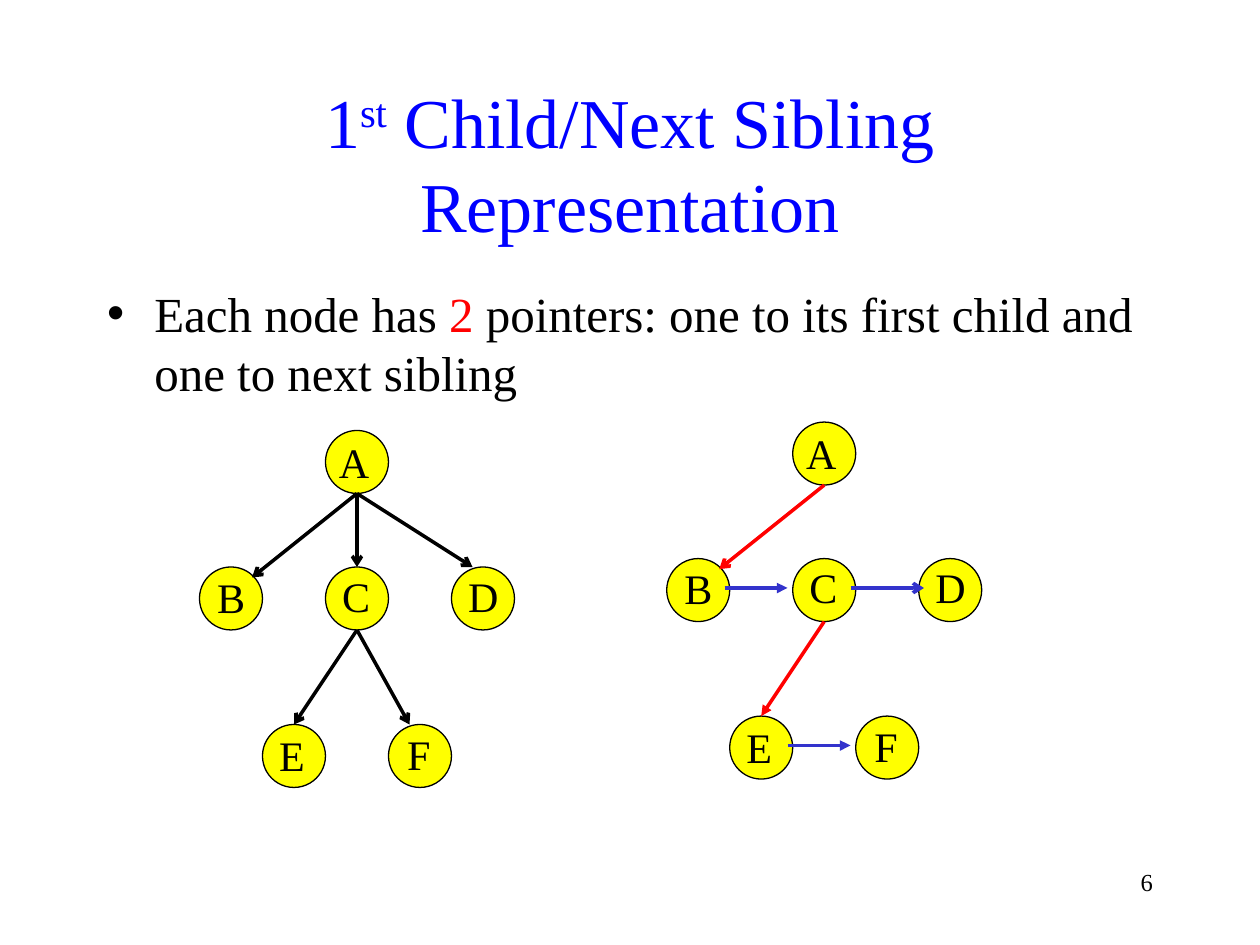
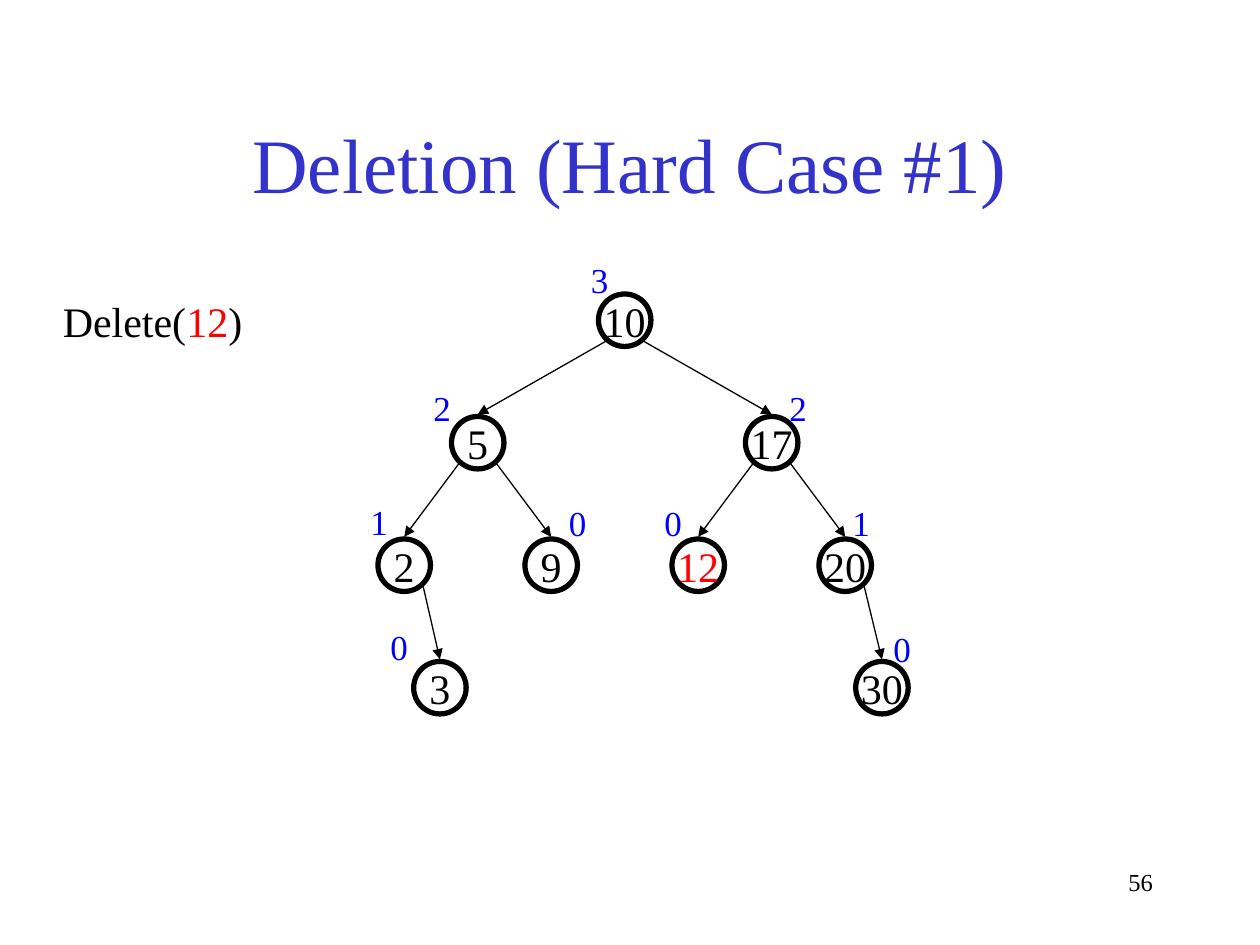
from lxml.etree import SubElement
from pptx import Presentation
from pptx.dml.color import RGBColor
from pptx.enum.shapes import MSO_CONNECTOR, MSO_SHAPE
from pptx.enum.text import MSO_ANCHOR, MSO_AUTO_SIZE, PP_ALIGN
from pptx.oxml.ns import qn
from pptx.util import Inches, Pt

COLORS = {
    "ink": "000000",
    "title": "0000FF",
    "accent": "3333CC",
    "highlight": "FF0000",
    "node": "FFFF00",
}
FONT = "Times New Roman"
COLUMNS = 120

deck = Presentation()
deck.slide_width, deck.slide_height = Inches(10), Inches(7.5)
CELL = deck.slide_width / COLUMNS


def grid(*cells):
    return [round(cell * CELL) for cell in cells]


def write(frame, runs, size, align=PP_ALIGN.LEFT, **frame_format):
    layout = {"word_wrap": True, "auto_size": MSO_AUTO_SIZE.NONE, **frame_format}
    for name, value in layout.items():
        setattr(frame, name, value)
    paragraph = frame.paragraphs[0]
    paragraph.alignment = align
    paragraph.space_before = Pt(0)
    for text, color in runs:
        run = paragraph.add_run()
        run.text = text
        for name, value in {"name": FONT, "size": Pt(size)}.items():
            setattr(run.font, name, value)
        run.font.color.rgb = RGBColor.from_string(COLORS[color])
    return paragraph


sibling_slide = deck.slides.add_slide(deck.slide_layouts[1])
deletion_slide = deck.slides.add_slide(deck.slide_layouts[5])

headings = [
    (sibling_slide, "6", 40,
     [("1", "title"), ("st", "title"), (" Child/Next Sibling Representation", "title")]),
    (deletion_slide, "56", 44, [("Deletion (Hard Case #1)", "accent")]),
]
for slide, number, size, runs in headings:
    page_number = slide.shapes.add_textbox(*grid(86, 82, 25, 6))
    write(page_number.text_frame, [(number, "ink")], 14, PP_ALIGN.RIGHT)
    title = slide.shapes.title
    title.left, title.top, title.width, title.height = grid(9, 8, 102, 15)
    write(title.text_frame, runs, size, PP_ALIGN.CENTER, vertical_anchor=MSO_ANCHOR.MIDDLE)

ordinal = sibling_slide.shapes.title.text_frame.paragraphs[0].runs[1]
ordinal.font._element.set("baseline", "30000")

pointers = sibling_slide.placeholders[1]
pointers.left, pointers.top, pointers.width, pointers.height = grid(9, 26.4, 102, 54)
write(
    pointers.text_frame,
    [("Each node has ", "ink"), ("2", "highlight"),
     (" pointers: one to its first child and one to next sibling", "ink")],
    28,
)

arrows = []
labels = []

LETTER_SIZE = 6
letters = {
    "A": (12, 0, 0.1, -0.05),
    "B": (0, 13, 0.5, -0.2),
    "C": (12, 13, 0.4, -0.3),
    "D": (24, 13, 0.4, -0.3),
    "E": (6, 28, 0.4, -0.1),
    "F": (18, 28, 0.6, -0.2),
}
child_links = [
    (15, 6, 5, 14, "ink", "arrow"),
    (15, 6, 15, 13, "ink", "arrow"),
    (15, 19, 9, 28, "ink", "arrow"),
    (15, 19, 20, 28, "ink", "arrow"),
    (15, 6, 26, 13, "ink", "arrow"),
]
sibling_links = [
    (15, 6, 5, 14, "highlight", "arrow"),
    (5.5, 15.8, 11.5, 15.8, "accent", "triangle"),
    (15, 19, 9, 28, "highlight", "triangle"),
    (11.5, 30.8, 17.5, 30.8, "accent", "triangle"),
    (17.5, 15.8, 24.5, 15.8, "accent", "arrow"),
]
for left, top, links in [(63.5, 40.2, sibling_links), (19, 41, child_links)]:
    for letter, (column, row, shift_x, shift_y) in letters.items():
        x, y = left + column, top + row
        circle = sibling_slide.shapes.add_shape(
            MSO_SHAPE.OVAL, *grid(x, y, LETTER_SIZE, LETTER_SIZE))
        circle.shadow.inherit = False
        circle.fill.solid()
        circle.fill.fore_color.rgb = RGBColor.from_string(COLORS["node"])
        circle.line.color.rgb = RGBColor.from_string(COLORS["ink"])
        circle.line.width = Pt(0.75)
        labels.append((sibling_slide, (x + shift_x, y + shift_y, 5.3, 6),
                       [(letter, "ink")], 24, True))
    for x1, y1, x2, y2, color, head in links:
        arrows.append((sibling_slide, (left + x1, top + y1, left + x2, top + y2),
                       color, 2, head))

KEY_SIZE = 5
LEVEL_TOP, LEVEL_STEP = 28, 35 / 3
keys = {
    "10": (57, 0, "3", -1.9, -4),
    "5": (43, 1, "2", -2.9, -3.4),
    "17": (71, 1, "2", 3, -3.4),
    "2": (36, 2, "1", -1.9, -4.3),
    "9": (50, 2, "0", 3, -4.2),
    "12": (64, 2, "0", -1.9, -4.2),
    "20": (78, 2, "1", 2, -4.2),
    "3": (39.4, 3, "0", -3.4, -4),
    "30": (81.5, 3, "0", 2.4, -3.8),
}
for key, (column, level, height, shift_x, shift_y) in keys.items():
    row = LEVEL_TOP + level * LEVEL_STEP
    ring = deletion_slide.shapes.add_shape(
        MSO_SHAPE.OVAL, *grid(column, row, KEY_SIZE, KEY_SIZE))
    ring.shadow.inherit = False
    ring.fill.background()
    ring.line.color.rgb = RGBColor.from_string(COLORS["ink"])
    ring.line.width = Pt(3)
    write(ring.text_frame, [(key, "highlight" if key == "12" else "ink")], 24,
          PP_ALIGN.CENTER, word_wrap=False, vertical_anchor=MSO_ANCHOR.MIDDLE)
    labels.append((deletion_slide, (column + shift_x, row + shift_y, 4.1, 5.3),
                   [(height, "title")], 20, False))

children = {"10": ["5", "17"], "5": ["2", "9"], "17": ["12", "20"], "2": ["3"], "20": ["30"]}
for parent, branches in children.items():
    parent_column, level = keys[parent][:2]
    parent_row = LEVEL_TOP + level * LEVEL_STEP
    for child in branches:
        child_column = keys[child][0]
        side = 1.8 if child_column > parent_column else -1.8
        arrows.append((deletion_slide,
                       (parent_column + KEY_SIZE / 2 + side, parent_row + 4.5,
                        child_column + KEY_SIZE / 2, parent_row + LEVEL_STEP - 0.2),
                       "ink", 0.75, "triangle"))

labels.append((deletion_slide, (4.8, 27.6, 19.4, 6),
               [("Delete(", "ink"), ("12", "highlight"), (")", "ink")], 24, False))

for slide, ends, color, width, head in arrows:
    arrow = slide.shapes.add_connector(MSO_CONNECTOR.STRAIGHT, *grid(*ends))
    arrow.line.color.rgb = RGBColor.from_string(COLORS[color])
    arrow.line.width = Pt(width)
    SubElement(arrow.line._get_or_add_ln(), qn("a:tailEnd"), type=head)
    SubElement(arrow._element.spPr, qn("a:effectLst"))

for slide, area, runs, size, wrap in labels:
    label = slide.shapes.add_textbox(*grid(*area))
    write(label.text_frame, runs, size, word_wrap=wrap)

deck.save("out.pptx")
